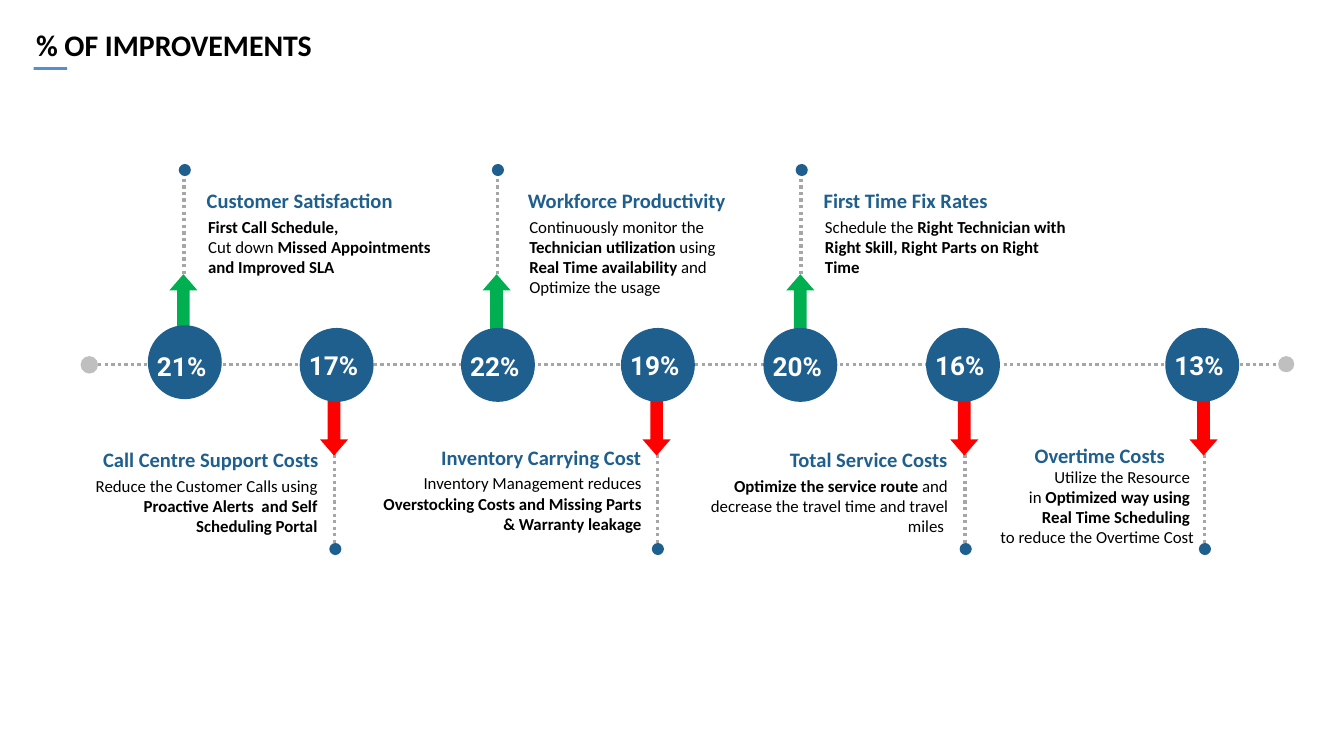
from lxml import etree
from pptx import Presentation
from pptx.dml.color import RGBColor
from pptx.enum.dml import MSO_LINE_DASH_STYLE as DASH
from pptx.enum.shapes import MSO_CONNECTOR, MSO_SHAPE as SHAPE
from pptx.enum.text import MSO_AUTO_SIZE, PP_ALIGN as ALIGN
from pptx.oxml.ns import qn
from pptx.util import Pt

PX = 9144  # 100 px to the inch
COLORS = {
    "accent": "558ED5", "blue": "1F5F8D", "line": "A6A6A6", "end": "BFBFBF",
    "up": "00B050", "down": "FF0000", "black": "000000", "white": "FFFFFF",
}
HANG = 23

deck = Presentation()
deck.slide_width = 1000 * PX
deck.slide_height = deck.slide_width * 9 // 16
page = deck.slides.add_slide(deck.slide_layouts[6])


def add_filled(kind, left, top, width, height, color):
    shape = page.shapes.add_shape(kind, left * PX, top * PX, width * PX, height * PX)
    shape.shadow.inherit = False
    shape.fill.solid()
    shape.fill.fore_color.rgb = RGBColor.from_string(COLORS[color])
    shape.line.fill.background()
    return shape


def add_text(bounds, lines, size, color, font="Calibri", align=ALIGN.LEFT, wrap=True, hang=0):
    """Add a text box; ** in a line switches bold on and off."""
    box = page.shapes.add_textbox(*(length * PX for length in bounds))
    frame = box.text_frame
    frame.word_wrap = wrap
    frame.auto_size = MSO_AUTO_SIZE.SHAPE_TO_FIT_TEXT
    for index, line in enumerate(lines):
        para = frame.add_paragraph() if index else frame.paragraphs[0]
        para.alignment = align
        if hang:
            properties = para._p.get_or_add_pPr()
            properties.set("marL", str(hang * PX))
            properties.set("indent", str(-hang * PX))
        for part, words in enumerate(line.split("**")):
            if words:
                span = para.add_run()
                span.text = words
                span.font.name = font
                span.font.size = Pt(size)
                span.font.bold = part % 2 == 1
                span.font.color.rgb = RGBColor.from_string(COLORS[color])


# Title
add_filled(SHAPE.RECTANGLE, 25, 50, 25, 2, "accent")
add_text((17, 15, 228, 37), ["**% OF IMPROVEMENTS**"], 16, "black", wrap=False)

# Percentage, direction, stem x, circle left and top, heading bounds, heading,
# details bounds, details, hanging indent
milestones = [
    ("21%", "up", 137, 110, 242, (144, 135, 220, 28), "Customer Satisfaction",
     (145, 156, 216, 56),
     ["**First Call Schedule,**", "Cut down **Missed Appointments**", "**and Improved SLA**"], HANG),
    ("17%", "down", 249, 223, 244, (37, 328, 210, 29), "Call Centre Support Costs",
     (40, 349, 206, 71),
     ["Reduce the Customer Calls using **Proactive Alerts  and Self Scheduling Portal**"], 0),
    ("22%", "up", 370, 343, 244, (383, 135, 220, 28), "Workforce Productivity",
     (384, 156, 200, 69),
     ["Continuously monitor the", "**Technician utilization **using",
      "**Real Time availability **and", "Optimize the usage"], HANG),
    ("19%", "down", 489, 462, 244, (277, 326, 210, 28), "Inventory Carrying Cost",
     (249, 347, 238, 69),
     ["Inventory Management reduces **Overstocking Costs and Missing Parts & Warranty leakage**"],
     HANG),
    ("20%", "up", 596, 568, 244, (603, 135, 239, 29), "First Time Fix Rates",
     (604, 156, 206, 71),
     ["Schedule the **Right Technician with Right Skill, Right Parts on Right Time**"], 0),
    ("16%", "down", 718, 689, 244, (505, 328, 210, 28), "Total Service Costs",
     (493, 349, 222, 69),
     ["**Optimize the service route **and decrease the travel time and travel miles "], HANG),
    ("13%", "down", 896, 867, 244, (760, 325, 135, 28), "Overtime Costs",
     (652, 342, 246, 99),
     ["Utilize the Resource ", "in **Optimized way using **", "**Real Time Scheduling **",
      "to reduce the Overtime Cost"], HANG),
]

# Dotted axis and stems
dotted_lines = [(73, 271, 951, 271)]
for percent, direction, stem, *rest in milestones:
    top = 133 if direction == "up" else 304
    dotted_lines.append((stem, top, stem, top + 105))
for ends in dotted_lines:
    line = page.shapes.add_connector(MSO_CONNECTOR.STRAIGHT, *(length * PX for length in ends))
    line.line.width = Pt(1.75)
    line.line.color.rgb = RGBColor.from_string(COLORS["line"])
    line.line.dash_style = DASH.ROUND_DOT
    etree.SubElement(line._element.spPr, qn("a:effectLst"))

add_filled(SHAPE.OVAL, 60, 265, 13, 13, "end")
add_filled(SHAPE.OVAL, 951, 265, 12, 12, "end")

# Milestones
for (percent, direction, stem, left, top, heading_bounds, heading,
     details_bounds, details, hang) in milestones:
    rising = direction == "up"
    add_filled(SHAPE.OVAL, stem - 4, 122 if rising else 404, 9, 9, "blue")

    arrow = add_filled(SHAPE.RIGHT_ARROW, stem - 21, 214 if rising else 308, 41, 21, direction)
    arrow.rotation = 270 if rising else 90
    arrow.adjustments[0] = 0.45
    arrow.adjustments[1] = 0.575

    add_filled(SHAPE.OVAL, left, top, 55, 55, "blue")
    add_text((left - 3, 256 if rising else 255, 66, 34), [f"**{percent}**"], 14, "white",
             font="Roboto", wrap=False)

    side = ALIGN.LEFT if rising else ALIGN.RIGHT
    heading_side = ALIGN.LEFT if heading == "Overtime Costs" else side
    add_text(heading_bounds, [f"**{heading}**"], 11, "blue", align=heading_side)
    add_text(details_bounds, details, 9, "black", align=side, hang=hang)

deck.save("out.pptx")
